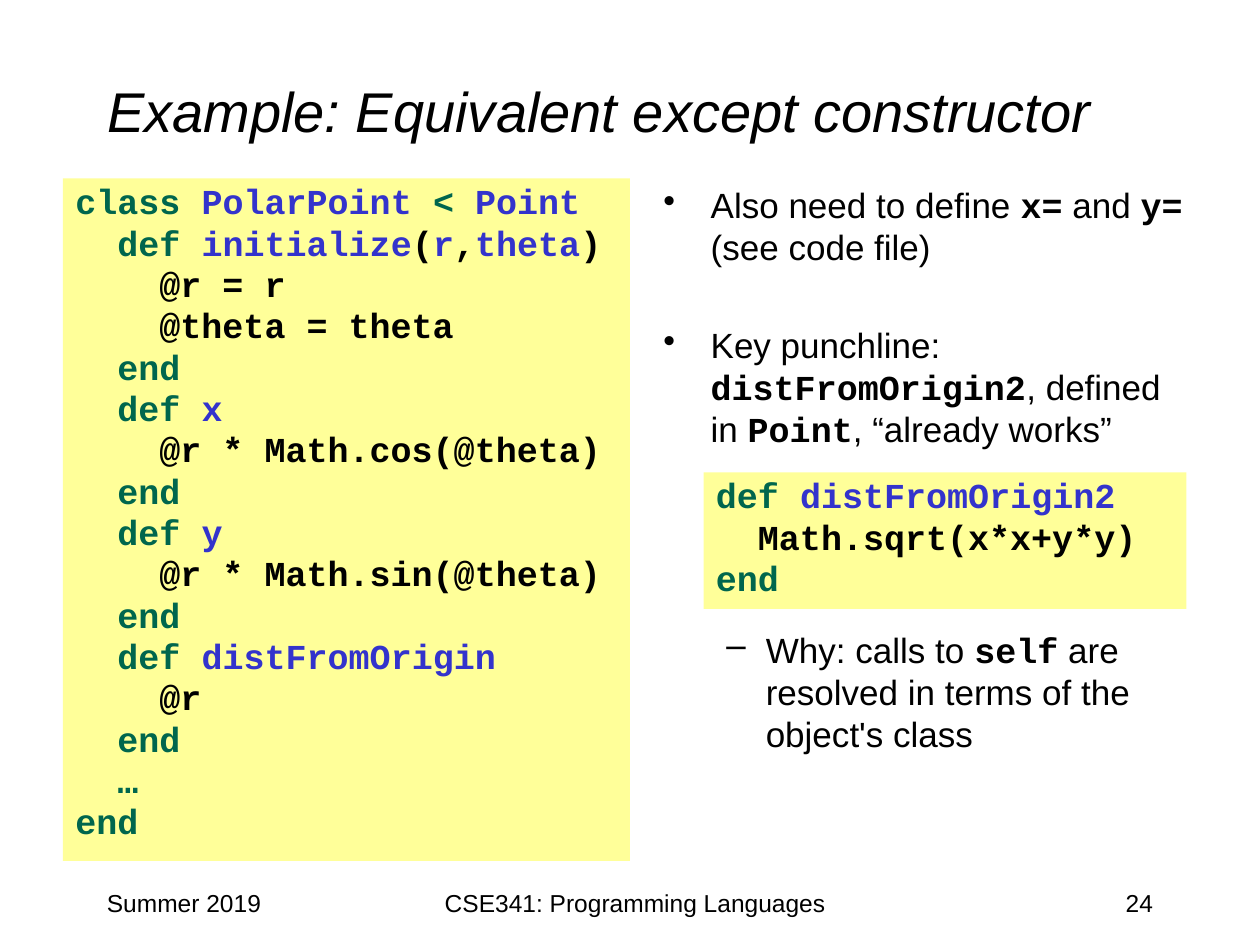
from lxml.etree import SubElement
from pptx import Presentation
from pptx.dml.color import RGBColor
from pptx.enum.shapes import MSO_SHAPE as SHAPE
from pptx.enum.text import MSO_ANCHOR as ANCHOR, MSO_AUTO_SIZE as FIT, PP_ALIGN as ALIGN
from pptx.oxml.ns import qn
from pptx.util import Pt

BLACK = RGBColor(0x00, 0x00, 0x00)
GREEN = RGBColor(0x00, 0x66, 0x4D)
BLUE = RGBColor(0x33, 0x33, 0xCC)
YELLOW = RGBColor(0xFF, 0xFF, 0x99)
SANS, MONO = "Arial", "Courier New"


class Deck:
    """Holds the presentation, its current slide and the text style."""

    def __init__(self, width, height):
        self.prs = Presentation()
        self.prs.slide_width, self.prs.slide_height = Pt(width), Pt(height)
        self.s = self.prs.slides.add_slide(self.prs.slide_layouts[5])

    def run(self, p, text, size=20, font=SANS, color=BLACK, bold=False, italic=False):
        r = p.add_run()
        r.text = text
        r.font.size, r.font.name = Pt(size), font
        r.font.color.rgb = color
        r.font.bold, r.font.italic = bold, italic

    def indent(self, p, left, hanging, bullet=None):
        pPr = p._p.get_or_add_pPr()
        pPr.set("marL", str(Pt(left)))
        pPr.set("indent", str(-Pt(hanging)))
        if bullet:
            SubElement(pPr, qn("a:buChar")).set("char", bullet)

    def frame(self, sp):
        tf = sp.text_frame
        tf.word_wrap, tf.auto_size = True, FIT.NONE
        tf.vertical_anchor = ANCHOR.TOP
        return tf

    def paragraphs(self, tf, items):
        for i, item in enumerate(items):
            yield i, tf.paragraphs[0] if i == 0 else tf.add_paragraph(), item

    def title(self, text, x, y, w, h):
        sp = self.s.shapes.title
        sp.left, sp.top, sp.width, sp.height = Pt(x), Pt(y), Pt(w), Pt(h)
        tf = self.frame(sp)
        tf.vertical_anchor = ANCHOR.MIDDLE
        p = tf.paragraphs[0]
        p.alignment = ALIGN.LEFT
        self.run(p, text, size=32, italic=True)

    def text_box(self, x, y, w, h):
        return self.frame(self.s.shapes.add_textbox(Pt(x), Pt(y), Pt(w), Pt(h)))

    def footer(self, text, x, w, align):
        p = self.text_box(x, 504, w, 36).paragraphs[0]
        p.alignment = align
        self.run(p, text, size=14)

    def code(self, lines, x, y, w, h):
        sp = self.s.shapes.add_shape(SHAPE.RECTANGLE, Pt(x), Pt(y), Pt(w), Pt(h))
        sp.shadow.inherit = False
        sp.fill.solid()
        sp.fill.fore_color.rgb = YELLOW
        sp.line.fill.background()
        for i, p, line in self.paragraphs(self.frame(sp), lines):
            self.indent(p, 27, 27)
            p.alignment, p.line_spacing = ALIGN.LEFT, 0.9
            p.space_before = Pt(2 if i else 0)
            for text, color in line:
                self.run(p, text, font=MONO, color=color, bold=True)

    def bullets(self, items, x, y, w, h):
        for _, p, (level, before, parts) in self.paragraphs(self.text_box(x, y, w, h), items):
            left, hanging, bullet = [(27, 27, "•"), (58.5, 22.5, "–")][level]
            self.indent(p, left, hanging, bullet)
            p.level, p.space_before = level, Pt(before)
            # Prose and code names alternate, starting with prose
            for j, text in enumerate(parts):
                is_code = j % 2 == 1
                self.run(p, text, font=MONO if is_code else SANS, bold=is_code)


def method(name):
    return [("  def ", GREEN), (name, BLUE)]


def body(text):
    return [("    " + text, BLACK)]


END = [("  end", GREEN)]
CLASS_END = [("end", GREEN)]

POLAR_POINT = [
    [("class ", GREEN), ("PolarPoint ", BLUE), ("<", GREEN), (" Point", BLUE)],
    method("initialize") + [("(", BLACK), ("r", BLUE), (",", BLACK),
                            ("theta", BLUE), (")", BLACK)],
    body("@r = r"), body("@theta = theta"), END,
    method("x"), body("@r * Math.cos(@theta)"), END,
    method("y"), body("@r * Math.sin(@theta)"), END,
    method("distFromOrigin"), body("@r"), END,
    [("  …", GREEN)],
    CLASS_END,
]

DIST_FROM_ORIGIN2 = [
    [("def ", GREEN), ("distFromOrigin2", BLUE)],
    [("  Math.sqrt(x*x+y*y)", BLACK)],
    CLASS_END,
]

# Level, space before, text parts
REMARKS = [
    (0, 0, ["Also need to define ", "x=", " and ", "y=", " (see code file)"]),
    (0, 32, ["Key punchline: ", "distFromOrigin2", ", defined in ", "Point",
             ", “already works”"]),
    (1, 102, ["Why: calls to ", "self",
              " are resolved in terms of the object's class"]),
]


def main():
    deck = Deck(720, 540)
    deck.title("Example: Equivalent except constructor", 54, 18, 612, 90)

    # Footer
    deck.footer("Summer 2019", 54, 150, ALIGN.LEFT)
    deck.footer("24", 516, 150, ALIGN.RIGHT)
    deck.footer("CSE341: Programming Languages", 228, 270, ALIGN.CENTER)

    # Class on the left, remarks and inherited method on the right
    deck.code(POLAR_POINT, 36, 102, 324, 390)
    deck.bullets(REMARKS, 372, 101.5, 312, 354)
    deck.code(DIST_FROM_ORIGIN2, 402, 270, 276, 78)

    deck.prs.save("out.pptx")


if __name__ == "__main__":
    main()
